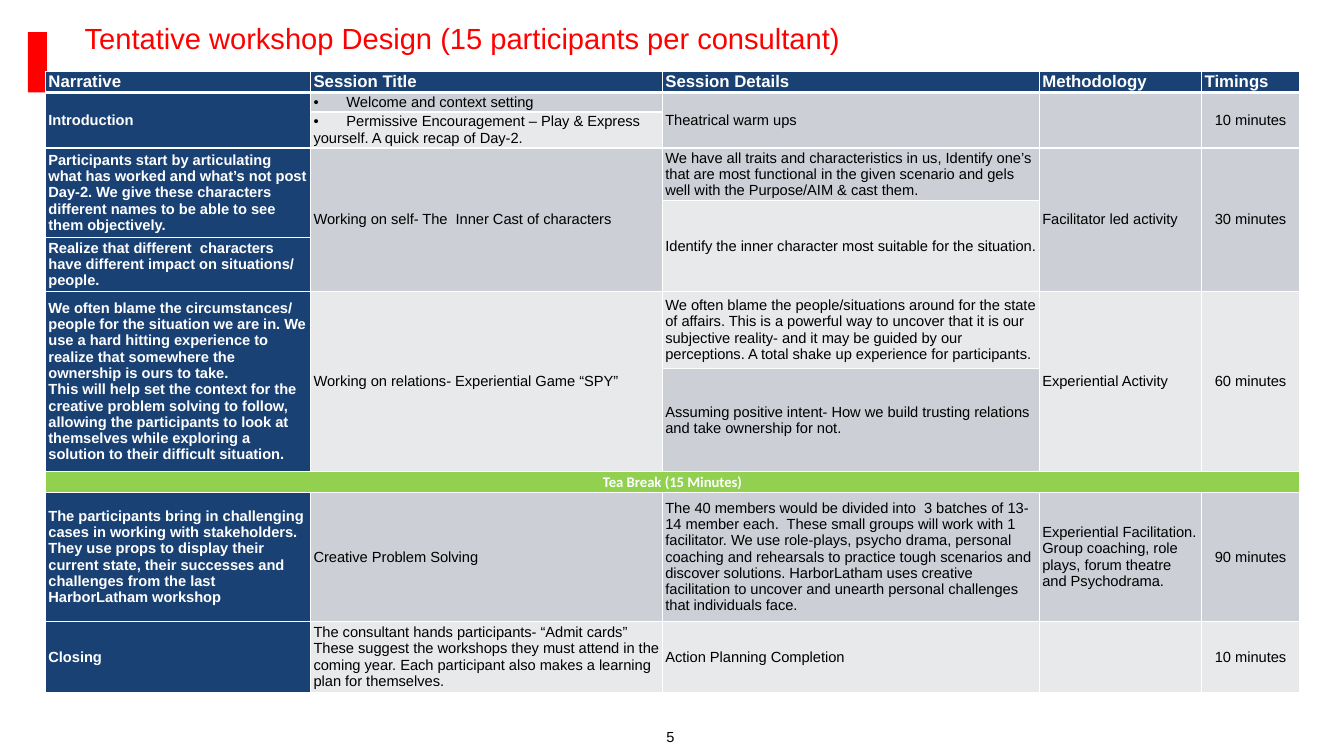
from lxml import etree
from pptx import Presentation
from pptx.dml.color import RGBColor
from pptx.enum.shapes import MSO_SHAPE
from pptx.enum.text import MSO_ANCHOR, MSO_AUTO_SIZE, PP_ALIGN
from pptx.oxml.ns import qn
from pptx.util import Pt

RECTANGLE = MSO_SHAPE.RECTANGLE
TOP, MIDDLE = MSO_ANCHOR.TOP, MSO_ANCHOR.MIDDLE
LEFT, CENTER = PP_ALIGN.LEFT, PP_ALIGN.CENTER
NO_AUTOFIT = MSO_AUTO_SIZE.NONE

RED = RGBColor(0xFF, 0x00, 0x00)
NAVY = RGBColor(0x19, 0x41, 0x73)
GREEN = RGBColor(0x92, 0xD0, 0x50)
DARK_BAND = RGBColor(0xCC, 0xCF, 0xD5)
LIGHT_BAND = RGBColor(0xE8, 0xE9, 0xEB)
WHITE = RGBColor(0xFF, 0xFF, 0xFF)
BLACK = RGBColor(0x00, 0x00, 0x00)

TITLE_ONLY = 5
HEADER_SIZE, BODY_SIZE = 12, 10.5
BULLET_TAB = 23.5
TEA_ROW, TIMING_COLUMN = 8, 4

COLUMN_WIDTHS = [189.4, 251.3, 269.3, 115.9, 69.8]
ROW_HEIGHTS = [15, 14, 25.7, 37.2, 26.4, 38.2, 55.4, 73.6, 14.6, 92.5, 49.6]

HEADERS = ["Narrative", "Session Title", "Session Details", "Methodology", "Timings"]

# Each entry: row, column, rows spanned, columns spanned, paragraphs
SESSIONS = [
    # Introduction
    (1, 0, 2, 1, ["Introduction"]),
    (1, 1, 1, 1, ["•\tWelcome and context setting"]),
    (2, 1, 1, 1, ["•\tPermissive Encouragement – Play & Express yourself. "
                  "A quick recap of Day-2."]),
    (1, 2, 2, 1, ["Theatrical warm ups"]),
    (1, 3, 2, 1, []),
    (1, 4, 2, 1, ["10 minutes"]),
    # Working on self
    (3, 0, 2, 1, ["Participants start by articulating what has worked and what’s not post "
                  "Day-2. We give these characters different names to be able to see them "
                  "objectively."]),
    (5, 0, 1, 1, ["Realize that different  characters have different impact on situations/ "
                  "people."]),
    (3, 1, 3, 1, ["Working on self- The  Inner Cast of characters"]),
    (3, 2, 1, 1, ["We have all traits and characteristics in us, Identify one’s that are most "
                  "functional in the given scenario and gels well with the Purpose/AIM & cast "
                  "them."]),
    (4, 2, 2, 1, ["Identify the inner character most suitable for the situation."]),
    (3, 3, 3, 1, ["Facilitator led activity"]),
    (3, 4, 3, 1, ["30 minutes"]),
    # Working on relations
    (6, 0, 2, 1, ["We often blame the circumstances/ people for the situation we are in. We "
                  "use a hard hitting experience to realize that somewhere the ownership is "
                  "ours to take.",
                  "This will help set the context for the creative problem solving to follow, "
                  "allowing the participants to look at themselves while exploring a solution "
                  "to their difficult situation."]),
    (6, 1, 2, 1, ["Working on relations- Experiential Game “SPY”"]),
    (6, 2, 1, 1, ["We often blame the people/situations around for the state of affairs. This "
                  "is a powerful way to uncover that it is our subjective reality- and it may "
                  "be guided by our perceptions. A total shake up experience for "
                  "participants."]),
    (7, 2, 1, 1, ["Assuming positive intent- How we build trusting relations and take "
                  "ownership for not."]),
    (6, 3, 2, 1, ["Experiential Activity"]),
    (6, 4, 2, 1, ["60 minutes"]),
    # Break
    (TEA_ROW, 0, 1, 5, ["Tea Break (15 Minutes)"]),
    # Creative problem solving
    (9, 0, 1, 1, ["The participants bring in challenging cases in working with stakeholders. "
                  "They use props to display their current state, their successes and "
                  "challenges from the last HarborLatham workshop"]),
    (9, 1, 1, 1, ["Creative Problem Solving"]),
    (9, 2, 1, 1, ["The 40 members would be divided into  3 batches of 13-14 member each.  "
                  "These small groups will work with 1 facilitator. We use role-plays, psycho "
                  "drama, personal coaching and rehearsals to practice tough scenarios and "
                  "discover solutions. HarborLatham uses creative facilitation to uncover and "
                  "unearth personal challenges that individuals face."]),
    (9, 3, 1, 1, ["Experiential Facilitation. Group coaching, role plays, forum theatre and "
                  "Psychodrama."]),
    (9, 4, 1, 1, ["90 minutes"]),
    # Closing
    (10, 0, 1, 1, ["Closing"]),
    (10, 1, 1, 1, ["The consultant hands participants- “Admit cards” These suggest the "
                   "workshops they must attend in the coming year. Each participant also "
                   "makes a learning plan for themselves."]),
    (10, 2, 1, 1, ["Action Planning Completion"]),
    (10, 3, 1, 1, []),
    (10, 4, 1, 1, ["10 minutes"]),
]


def add_span(para, text, size, color, bold=False, font="Arial"):
    span = para.add_run()
    span.text = text
    span.font.name, span.font.size, span.font.bold = font, Pt(size), bold
    span.font.color.rgb = color


def add_bullet_tab(para):
    tabs = etree.SubElement(para._p.get_or_add_pPr(), qn("a:tabLst"))
    etree.SubElement(tabs, qn("a:tab"), pos=str(Pt(BULLET_TAB)), algn="l")


def add_borders(cell, row):
    """White 1 pt cell borders, 3 pt under the header row."""
    widths = {"L": 1, "R": 1, "T": 3 if row == 1 else 1, "B": 3 if row == 0 else 1}
    properties = cell._tc.get_or_add_tcPr()
    for index, (side, width) in enumerate(widths.items()):
        line = etree.Element(qn(f"a:ln{side}"), w=str(Pt(width)))
        fill = etree.SubElement(line, qn("a:solidFill"))
        etree.SubElement(fill, qn("a:srgbClr"), val=str(WHITE))
        properties.insert(index, line)


def cell_fill(row, column):
    if row == TEA_ROW:
        return GREEN
    if row == 0 or column == 0:
        return NAVY
    return DARK_BAND if row % 2 else LIGHT_BAND


def format_cell(cell, row, column):
    cell.margin_left = cell.margin_right = Pt(2)
    cell.margin_top = cell.margin_bottom = 0
    cell.vertical_anchor = MIDDLE
    cell.fill.solid()
    cell.fill.fore_color.rgb = cell_fill(row, column)
    add_borders(cell, row)
    # Keeps empty cells from stretching their row
    end = cell.text_frame.paragraphs[0]._p.get_or_add_endParaRPr()
    end.set("sz", str(int(BODY_SIZE * 100)))


def fill_cell(cell, row, column, paragraphs):
    emphasized = row in (0, TEA_ROW) or column == 0
    centered = row == TEA_ROW or (column == TIMING_COLUMN and row > 0)
    for index, text in enumerate(paragraphs):
        frame = cell.text_frame
        para = frame.add_paragraph() if index else frame.paragraphs[0]
        para.alignment = CENTER if centered else LEFT
        if text.startswith("•"):
            add_bullet_tab(para)
        add_span(para, text, BODY_SIZE if row else HEADER_SIZE,
                 WHITE if emphasized else BLACK, emphasized,
                 "Calibri" if row == TEA_ROW else "Arial")


def add_title(page, left, top, width, height):
    box = page.shapes.title
    box.left, box.top, box.width, box.height = Pt(left), Pt(top), Pt(width), Pt(height)
    frame = box.text_frame
    frame.vertical_anchor, frame.auto_size, frame.word_wrap = TOP, NO_AUTOFIT, True
    para = frame.paragraphs[0]
    para.alignment, para.line_spacing = LEFT, 0.9
    add_span(para, "Tentative workshop Design (15 participants per consultant)", 20.8, RED)


def add_accent_bar(page, left, top, width, height):
    bar = page.shapes.add_shape(RECTANGLE, Pt(left), Pt(top), Pt(width), Pt(height))
    bar.shadow.inherit = False
    bar.fill.solid()
    bar.fill.fore_color.rgb = RED
    bar.line.fill.background()


def add_agenda(page, left, top):
    frame = page.shapes.add_table(len(ROW_HEIGHTS), len(COLUMN_WIDTHS), Pt(left), Pt(top),
                                  Pt(sum(COLUMN_WIDTHS)), Pt(sum(ROW_HEIGHTS)))
    table = frame.table
    table.first_row = table.horz_banding = False
    for column, width in zip(table.columns, COLUMN_WIDTHS):
        column.width = Pt(width)
    for row, height in enumerate(ROW_HEIGHTS):
        table.rows[row].height = Pt(height)
        for column in range(len(COLUMN_WIDTHS)):
            format_cell(table.cell(row, column), row, column)
    for column, header in enumerate(HEADERS):
        fill_cell(table.cell(0, column), 0, column, [header])
    for row, column, rows, columns, paragraphs in SESSIONS:
        cell = table.cell(row, column)
        if rows * columns > 1:
            cell.merge(table.cell(row + rows - 1, column + columns - 1))
        fill_cell(cell, row, column, paragraphs)


def add_page_number(page, left, top, width, height):
    box = page.shapes.add_textbox(Pt(left), Pt(top), Pt(width), Pt(height))
    frame = box.text_frame
    frame.margin_left = frame.margin_right = frame.margin_top = frame.margin_bottom = 0
    frame.vertical_anchor = MIDDLE
    para = frame.paragraphs[0]
    para.alignment = CENTER
    add_span(para, "5", 10.4, BLACK)


def main():
    deck = Presentation()
    deck.slide_width, deck.slide_height = Pt(960), Pt(540)
    page = deck.slides.add_slide(deck.slide_layouts[TITLE_ONLY])
    add_accent_bar(page, 20, 23, 13.5, 43)
    add_page_number(page, 472.3, 520, 13, 13)
    add_agenda(page, 32.6, 51)
    add_title(page, 53.3, 13.7, 853, 54)
    deck.save("out.pptx")


if __name__ == "__main__":
    main()
